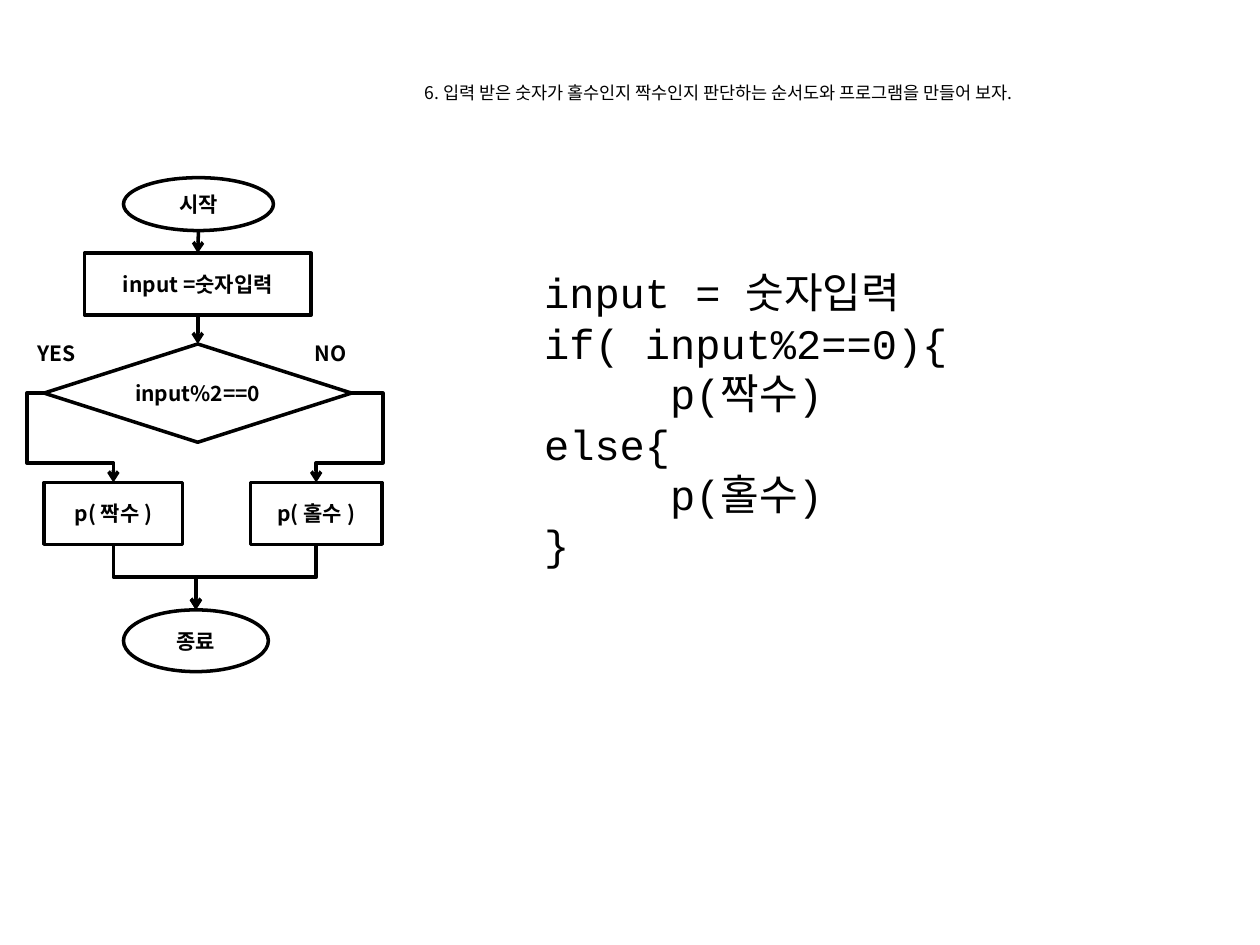
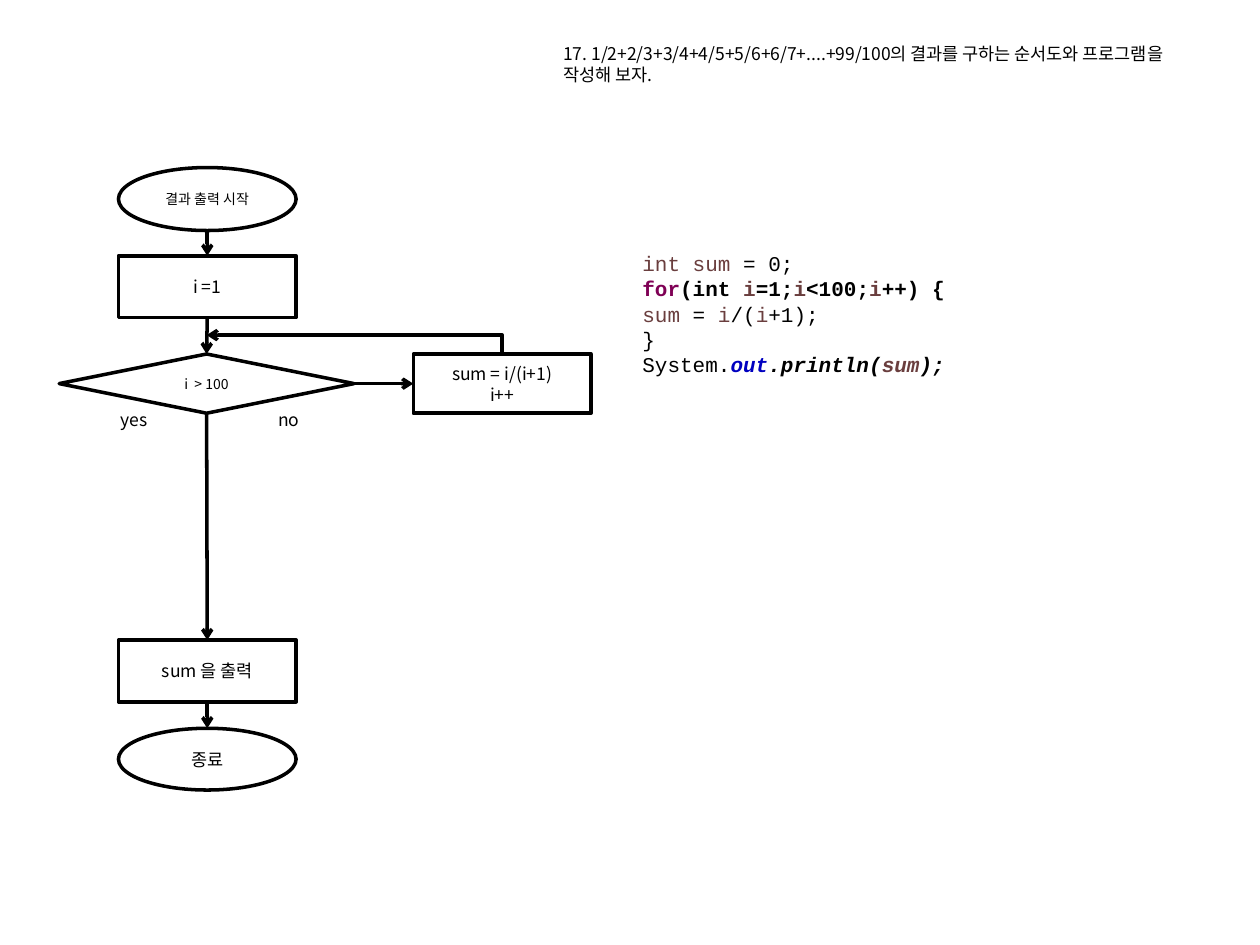
from dataclasses import dataclass

from lxml.etree import SubElement
from pptx import Presentation
from pptx.dml.color import RGBColor
from pptx.enum.shapes import MSO_CONNECTOR, MSO_SHAPE
from pptx.enum.text import MSO_ANCHOR, MSO_AUTO_SIZE, PP_ALIGN
from pptx.oxml.ns import qn
from pptx.util import Inches, Pt

BLACK = RGBColor(0x00, 0x00, 0x00)
VARIABLE = RGBColor(0x6A, 0x3E, 0x3E)
KEYWORD = RGBColor(0x7F, 0x00, 0x55)
FIELD = RGBColor(0x00, 0x00, 0xC0)
SANS = "Noto Sans CJK KR"
MONO = "Courier New"
OVAL = MSO_SHAPE.OVAL
PROCESS = MSO_SHAPE.FLOWCHART_PROCESS
DECISION = MSO_SHAPE.FLOWCHART_DECISION
LINE_WIDTH = Pt(2)
TITLE_ONLY = 5
TOP, LEFT, BOTTOM, RIGHT = range(4)  # connection sites


@dataclass
class Box:
    """A rectangle in inches."""
    left: float
    top: float
    width: float
    height: float

    def inner(self, left, top, width, height):
        """Return a box placed relative to this one."""
        return Box(self.left + left, self.top + top, width, height)

    def side_point(self, side):
        """Return the middle of one side."""
        middle = self.left + self.width / 2
        centre = self.top + self.height / 2
        return [(middle, self.top), (self.left, centre),
                (middle, self.top + self.height),
                (self.left + self.width, centre)][side]

    def lengths(self):
        """Return the four measures as lengths."""
        return [Inches(value) for value in
                (self.left, self.top, self.width, self.height)]


@dataclass
class Node:
    """A flowchart step: its shape and its box."""
    shape: object
    box: Box


def add_span(para, text, style):
    """Add one run with the given font values."""
    span = para.add_run()
    span.text = text
    values = {"name": SANS, "size": Pt(10), "bold": False, "color": BLACK, **style}
    span.font.color.rgb = values.pop("color")
    for name, value in values.items():
        setattr(span.font, name, value)
    east_asian = SubElement(span.font._element, qn("a:ea"))
    east_asian.set("typeface", SANS)


def write(frame, lines, style, align=PP_ALIGN.LEFT):
    """Fill a text frame; a line is a string or a list of (text, style)."""
    for index, line in enumerate(lines):
        para = frame.paragraphs[0] if index == 0 else frame.add_paragraph()
        para.alignment = align
        for text, extra in [(line, {})] if isinstance(line, str) else line:
            add_span(para, text, {**style, **extra})


def place_title(page, box, text):
    """Move the title placeholder into the box and write the task."""
    title = page.shapes.title
    for name, value in zip(("left", "top", "width", "height"), box.lengths()):
        setattr(title, name, value)
    frame = title.text_frame
    for name, value in {"word_wrap": True, "auto_size": MSO_AUTO_SIZE.NONE,
                        "vertical_anchor": MSO_ANCHOR.TOP}.items():
        setattr(frame, name, value)
    write(frame, [text], {})


def add_text(page, box, lines, style):
    """Add a wrapping text box and return its frame."""
    frame = page.shapes.add_textbox(*box.lengths()).text_frame
    frame.word_wrap = True
    write(frame, lines, style)
    return frame


def add_node(page, kind, box, lines, style):
    """Add one outlined flowchart step."""
    shape = page.shapes.add_shape(kind, *box.lengths())
    shape.shadow.inherit = False
    shape.fill.background()
    shape.line.color.rgb = BLACK
    shape.line.width = LINE_WIDTH
    shape.text_frame.vertical_anchor = MSO_ANCHOR.MIDDLE
    write(shape.text_frame, lines, style, PP_ALIGN.CENTER)
    return Node(shape, box)


def add_arrow(page, start, end, kind=MSO_CONNECTOR.STRAIGHT):
    """Add a black connector with an open arrowhead at its end."""
    arrow = page.shapes.add_connector(
        kind, *[Inches(value) for value in (*start, *end)])
    arrow.line.color.rgb = BLACK
    arrow.line.width = LINE_WIDTH
    outline = arrow.element.spPr.find(qn("a:ln"))
    SubElement(outline, qn("a:tailEnd")).set("type", "arrow")
    SubElement(arrow.element.spPr, qn("a:effectLst"))
    return arrow


def link(page, source, target):
    """Draw a straight arrow down from one step to the next."""
    return add_arrow(page, source.box.side_point(BOTTOM),
                     target.box.side_point(TOP))


def add_elbow(page, source, side, target, preset, turn=0, flip="", adjust=()):
    """Draw a bent arrow from a step's side to a step's top or to a point."""
    to_node = isinstance(target, Node)
    start = source.box.side_point(side)
    end = target.box.side_point(TOP) if to_node else target
    arrow = add_arrow(page, start, end, MSO_CONNECTOR.ELBOW)
    arrow.begin_connect(source.shape, side)
    if to_node:
        arrow.end_connect(target.shape, TOP)

    width, height = abs(end[0] - start[0]), abs(end[1] - start[1])
    if turn % 180:
        width, height = height, width
    frame = Box((start[0] + end[0] - width) / 2,
                (start[1] + end[1] - height) / 2, width, height)
    for name, value in zip(("left", "top", "width", "height"), frame.lengths()):
        setattr(arrow, name, value)
    transform = arrow.element.spPr.find(qn("a:xfrm"))
    for name, value in {"rot": turn * 60000, "flipH": int("h" in flip),
                        "flipV": int("v" in flip)}.items():
        transform.set(name, str(value))

    geometry = arrow.element.spPr.find(qn("a:prstGeom"))
    geometry.set("prst", preset)
    guides = geometry.find(qn("a:avLst"))
    for number, share in enumerate(adjust, 1):
        guide = SubElement(guides, qn("a:gd"))
        guide.set("name", f"adj{number}")
        guide.set("fmla", f"val {round(share * 100000)}")


def draw_parity_flow(page, area):
    """Draw the flowchart that tells even numbers from odd ones."""
    style = {"size": Pt(12), "bold": True}
    start, read, test, even, odd, finish = [
        add_node(page, kind, area.inner(*place), [text], style)
        for kind, place, text in [
            (OVAL, (0.78, 0, 1.19, 0.42), "시작"),
            (PROCESS, (0.47, 0.6, 1.8, 0.49), "input =숫자입력"),
            (DECISION, (0.15, 1.32, 2.44, 0.78), "input%2==0"),
            (PROCESS, (0.15, 2.42, 1.1, 0.49), "p( 짝수 )"),
            (PROCESS, (1.79, 2.42, 1.04, 0.49), "p( 홀수 )"),
            (OVAL, (0.78, 3.43, 1.15, 0.49), "종료")]]
    for left, text in [(0, "YES"), (2.2, "NO")]:
        add_text(page, area.inner(left, 1.24, 0.7, 0.3), [text], style)
    link(page, start, read)
    link(page, read, test)
    add_elbow(page, test, LEFT, even, "bentConnector4", adjust=(-0.25, 0.78))
    add_elbow(page, test, RIGHT, odd, "bentConnector4", flip="h",
              adjust=(-0.89, 0.78))
    add_elbow(page, even, BOTTOM, finish, "bentConnector3", 270, "h", (0.5,))
    add_elbow(page, odd, BOTTOM, finish, "bentConnector3", 90, "", (0.5,))


def draw_sum_flow(page, area):
    """Draw the flowchart that loops over the fractions."""
    small, normal = {"size": Pt(8)}, {"size": Pt(10)}
    start, first, test, show, finish, add = [
        add_node(page, kind, area.inner(*place), lines, style)
        for kind, place, lines, style in [
            (OVAL, (0.47, 0, 1.41, 0.5), ["결과 출력 시작"], small),
            (PROCESS, (0.47, 0.7, 1.41, 0.49), ["i =1"], normal),
            (DECISION, (0, 1.48, 2.34, 0.47), ["i  > 100"], small),
            (PROCESS, (0.47, 3.75, 1.41, 0.49), ["sum 을 출력"], normal),
            (OVAL, (0.47, 4.45, 1.41, 0.49), ["종료"], normal),
            (PROCESS, (2.81, 1.48, 1.41, 0.47), ["sum = i/(i+1)", "i++"], normal)]]
    for left, text in [(0.39, "yes"), (1.64, "no")]:
        add_text(page, area.inner(left, 1.87, 0.7, 0.27), [text], normal)
    for source, target in [(start, first), (first, test), (test, show),
                           (show, finish)]:
        link(page, source, target)
    add_arrow(page, test.box.side_point(RIGHT), add.box.side_point(LEFT))
    middle, top = test.box.side_point(TOP)
    add_elbow(page, add, TOP, (middle, top - 0.15), "bentConnector2", 270, "v")


def write_parity_code(page, box):
    """Write the pseudocode with its two indented calls."""
    lines = ["input = 숫자입력", "if( input%2==0){", "p(짝수)",
             "else{", "p(홀수)", "}"]
    frame = add_text(page, box, lines, {"name": MONO, "size": Pt(24)})
    for para in frame.paragraphs:
        if para.text.startswith("p("):
            para._p.get_or_add_pPr().set("marL", str(Inches(1)))


def write_sum_code(page, box):
    """Write the coloured program listing."""
    plain, name, bold = {}, {"color": VARIABLE}, {"bold": True}
    bold_name = {**bold, **name}
    slanted = {**bold, "italic": True}
    lines = [
        [("int sum", name), (" = 0;", plain)],
        [("for", {**bold, "color": KEYWORD}), ("(int ", bold), ("i", bold_name),
         ("=1;", bold), ("i", bold_name), ("<100;", bold), ("i", bold_name),
         ("++) {", bold)],
        [("sum", name), (" = ", plain), ("i", name), ("/(", plain),
         ("i", name), ("+1);", plain)],
        "}",
        [("System.", plain), ("out", {**slanted, "color": FIELD}),
         (".println(", slanted), ("sum", {**slanted, **name}), (");", slanted)]]
    add_text(page, box, lines, {"name": MONO, "size": Pt(12)})


def add_page(deck, title_box, title):
    """Add a slide with its task as the title."""
    page = deck.slides.add_slide(deck.slide_layouts[TITLE_ONLY])
    place_title(page, title_box, title)
    return page


def build():
    """Build and save the deck."""
    deck = Presentation()
    deck.slide_width, deck.slide_height = Inches(10), Inches(7.5)

    page = add_page(deck, Box(3.27, 0.6, 6.38, 0.27),
                    "6. 입력 받은 숫자가 홀수인지 짝수인지 판단하는 "
                    "순서도와 프로그램을 만들어 보자.")
    draw_parity_flow(page, Box(0.2, 1.41, 2.9, 3.92))
    write_parity_code(page, Box(4.22, 2.07, 5, 2.53))

    page = add_page(deck, Box(4.37, 0.29, 5, 0.44),
                    "17. 1/2+2/3+3/4+4/5+5/6+6/7+....+99/100의 결과를 "
                    "구하는 순서도와 프로그램을 작성해 보자.")
    draw_sum_flow(page, Box(0.47, 1.33, 4.22, 4.94))
    write_sum_code(page, Box(5, 1.94, 5, 1.11))

    deck.save("out.pptx")


build()
